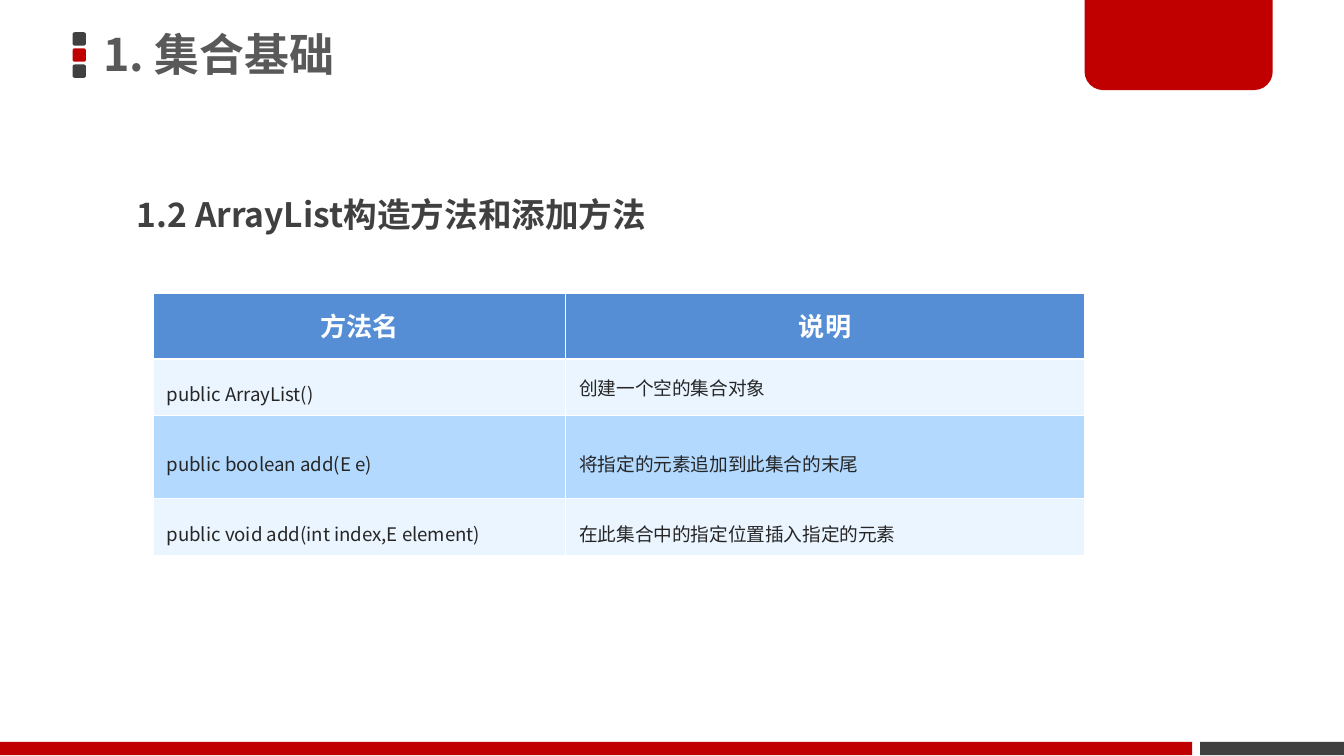
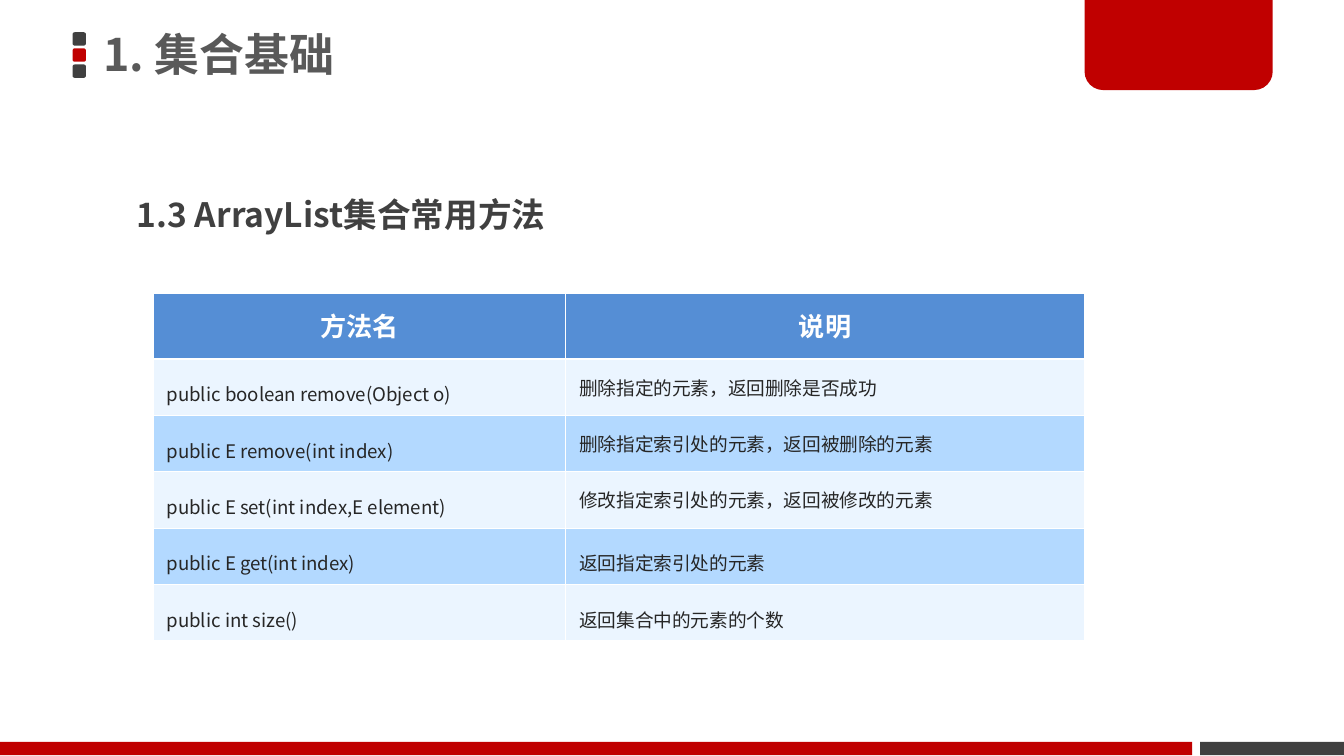
import pptx
import pptx.dml.color
import pptx.enum.shapes
import pptx.enum.text
import pptx.oxml.ns
import pptx.util
from lxml import etree

Inches, Pt = pptx.util.Inches, pptx.util.Pt
RGB = pptx.dml.color.RGBColor.from_string
SHAPE = pptx.enum.shapes.MSO_SHAPE
ALIGN = pptx.enum.text.PP_ALIGN
ANCHOR = pptx.enum.text.MSO_ANCHOR
AUTO = pptx.enum.text.MSO_AUTO_SIZE
qn = pptx.oxml.ns.qn

FONT = "Noto Sans CJK SC"
COLORS = {
    "red": "C00000", "dark": "404040", "title": "595959", "text": "262626",
    "white": "FFFFFF", "header": "558ED5", "light": "EBF5FF", "band": "B3D9FF",
}

# Decorations on every slide: preset, left, top, width, height, colour, adjustments
DECOR = [
    (SHAPE.ROUNDED_RECTANGLE, 0.54, 0.24 + 0.12 * i, 0.1, 0.1, color, [0.167])
    for i, color in enumerate(["dark", "red", "dark"])
] + [
    (SHAPE.RECTANGLE, 8.93, 5.52, 1.07, 0.1, "dark", []),
    (SHAPE.ROUND_2_SAME_RECTANGLE, 8.07, -0.02, 1.4, 0.69, "red", [0, 0.2]),
    (SHAPE.RECTANGLE, 0, 5.52, 8.87, 0.1, "red", []),
]

# Table rows: method, description, line spacing of the description, row height
SLIDES = [
    ("1.2 ArrayList构造方法和添加方法", 6.99, [
        ("public ArrayList()", "创建一个空的集合对象", 1, 0.42),
        ("public boolean add(E e)", "将指定的元素追加到此集合的末尾", 1.5, 0.62),
        ("public void add(int index,E element)", "在此集合中的指定位置插入指定的元素", 1.5, 0.42),
    ]),
    ("1.3 ArrayList集合常用方法", 3.84, [
        ("public boolean remove(Object o)", "删除指定的元素，返回删除是否成功", 1, 0.42),
        ("public E remove(int index)", "删除指定索引处的元素，返回被删除的元素", 1, 0.42),
        ("public E set(int index,E element)", "修改指定索引处的元素，返回被修改的元素", 1, 0.42),
        ("public E get(int index)", "返回指定索引处的元素", 1.5, 0.42),
        ("public int size()", "返回集合中的元素的个数", 1.5, 0.42),
    ]),
]


def write(tf, text, size, color, bold, spacing, align=ALIGN.LEFT):
    tf.text = text
    p = tf.paragraphs[0]
    p.alignment = align
    p.line_spacing = spacing
    r = p.runs[0]
    r.font.size = Pt(size)
    r.font.bold = bold
    r.font.color.rgb = RGB(COLORS[color])
    r.font.name = FONT
    etree.SubElement(r._r.get_or_add_rPr(), qn("a:ea"), typeface=FONT)


def paint_cell(cell, fill, top, bottom):
    """Give the cell white borders, then its fill; top and bottom are widths in points."""
    tcPr = cell._tc.get_or_add_tcPr()
    for side, width in (("L", 0.45), ("R", 0.45), ("T", top), ("B", bottom)):
        ln = etree.SubElement(tcPr, qn(f"a:ln{side}"), w=str(int(Pt(width))))
        line_fill = etree.SubElement(ln, qn("a:solidFill"))
        etree.SubElement(line_fill, qn("a:srgbClr"), val=COLORS["white"])
    cell.fill.solid()
    cell.fill.fore_color.rgb = RGB(COLORS[fill])


prs = pptx.Presentation()
prs.slide_width = Inches(10)
prs.slide_height = prs.slide_width * 9 // 16

for heading, heading_width, methods in SLIDES:
    s = prs.slides.add_slide(prs.slide_layouts[5])

    for preset, left, top, width, height, color, adjustments in DECOR:
        sp = s.shapes.add_shape(preset, Inches(left), Inches(top), Inches(width), Inches(height))
        for i, value in enumerate(adjustments):
            sp.adjustments[i] = value
        sp.shadow.inherit = False
        sp.fill.solid()
        sp.fill.fore_color.rgb = RGB(COLORS[color])
        sp.line.fill.background()

    title = s.shapes.title
    title.left, title.top = Inches(0.69), Inches(-0.02)
    title.width, title.height = Inches(5.89), Inches(0.89)
    tf = title.text_frame
    tf.auto_size = AUTO.NONE
    tf.vertical_anchor = ANCHOR.MIDDLE
    tf.margin_left = tf.margin_right = Inches(0.08)
    tf.margin_top = tf.margin_bottom = Inches(0.04)
    write(tf, "1. 集合基础", 24, "title", True, 0.9)

    box = s.shapes.add_textbox(Inches(0.92), Inches(1.24), Inches(heading_width), Inches(0.55))
    box.text_frame.word_wrap = True
    box.text_frame.auto_size = AUTO.SHAPE_TO_FIT_TEXT
    write(box.text_frame, heading, 18, "dark", True, 1.5)

    heights = [0.49] + [row[3] for row in methods]
    table = s.shapes.add_table(len(heights), 2, Inches(1.14), Inches(2.18),
                               Inches(6.93), Inches(sum(heights))).table
    table.horz_banding = False
    for column, width in zip(table.columns, [3.07, 3.86]):
        column.width = Inches(width)
    for row, height in zip(table.rows, heights):
        row.height = Inches(height)

    for col, label in enumerate(["方法名", "说明"]):
        cell = table.cell(0, col)
        write(cell.text_frame, label, 14, "white", True, Pt(24), ALIGN.CENTER)
        paint_cell(cell, "header", 0.45, 1.47)

    for i, (method, description, spacing, _) in enumerate(methods, start=1):
        for col, (text, line_spacing) in enumerate([(method, 1.5), (description, spacing)]):
            cell = table.cell(i, col)
            cell.vertical_anchor = ANCHOR.MIDDLE
            write(cell.text_frame, text, 10, "text", False, line_spacing)
            paint_cell(cell, "light" if i % 2 else "band", 1.47 if i == 1 else 0.45, 0.45)

prs.save("out.pptx")
